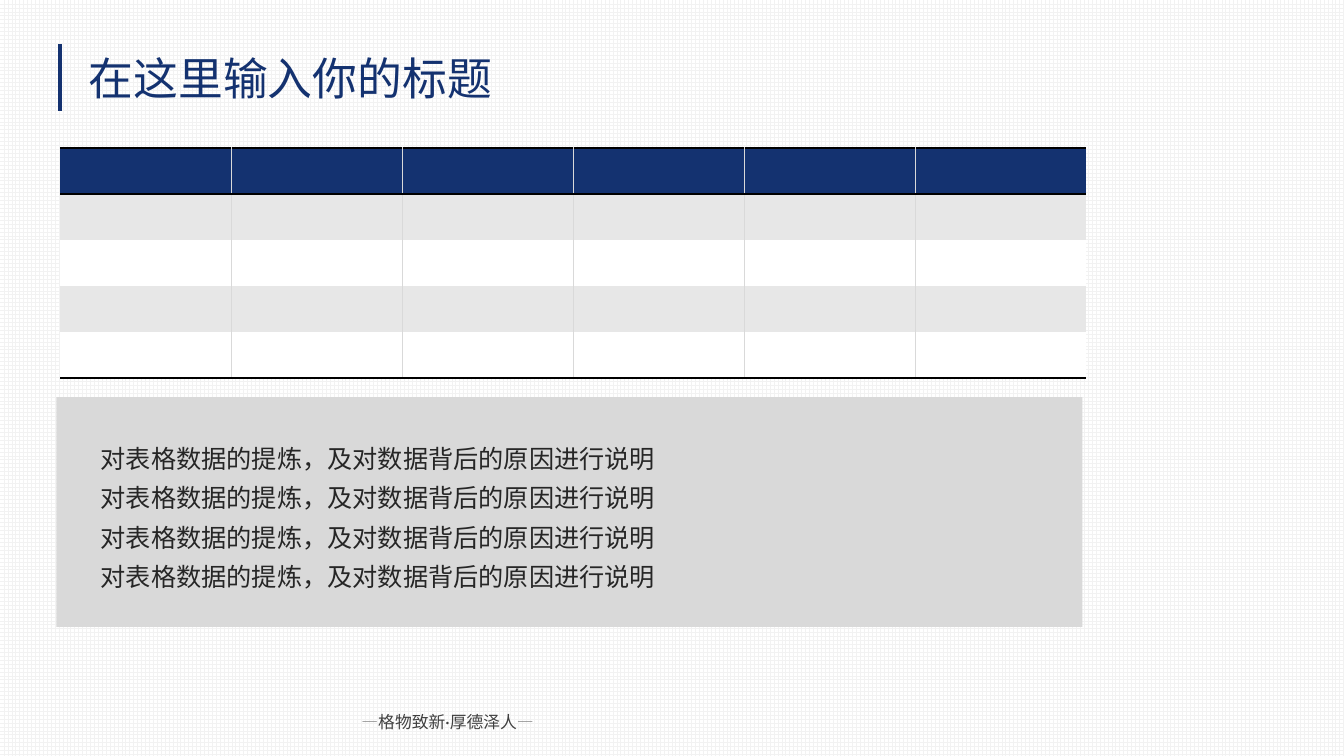
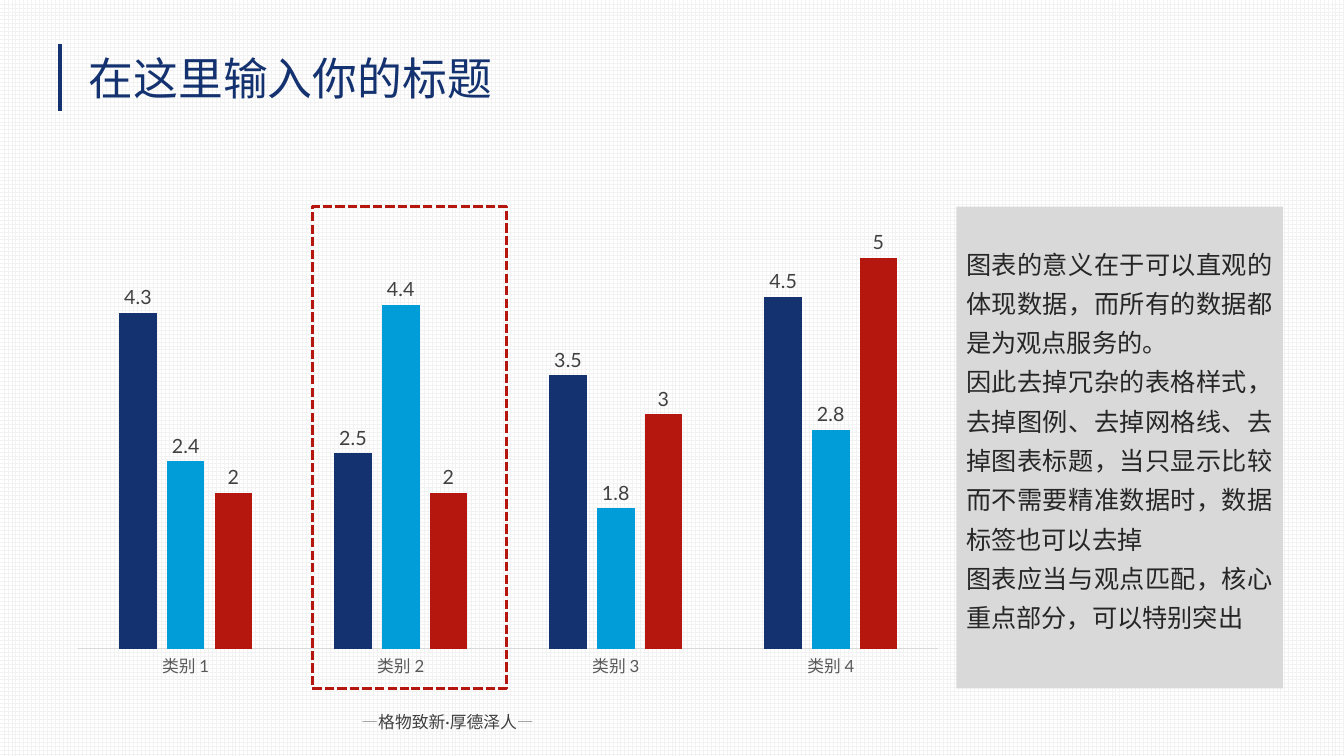
from dataclasses import dataclass

from lxml.etree import SubElement
from pptx import Presentation
from pptx.chart.data import CategoryChartData
from pptx.dml.color import RGBColor
from pptx.enum.chart import XL_CHART_TYPE, XL_LABEL_POSITION, XL_TICK_MARK
from pptx.enum.dml import MSO_LINE, MSO_PATTERN
from pptx.enum.shapes import MSO_CONNECTOR, MSO_SHAPE
from pptx.enum.text import MSO_ANCHOR, MSO_AUTO_SIZE, PP_ALIGN
from pptx.oxml.ns import qn
from pptx.util import Cm, Pt


@dataclass(frozen=True)
class Theme:
    navy: str = "143270"
    blue: str = "009DD9"
    red: str = "B5170F"
    black: str = "000000"
    ink: str = "262626"
    dark: str = "404040"
    axis: str = "595959"
    mid: str = "808080"
    light: str = "D9D9D9"
    band: str = "E7E7E7"
    grid: str = "F2F2F2"
    white: str = "FFFFFF"
    title_font: str = "Cabin"
    body_font: str = "Lato"
    title_size: int = 32
    body_size: int = 18
    label_size: int = 14
    small_size: int = 12
    chart_size: int = 10


T = Theme()

TITLE = "在这里输入你的标题"
FOOTER = [("—", T.mid), ("格物致新·厚德泽人", T.dark), ("—", T.mid)]
TABLE_ROWS = [[""] * 6 for _ in range(5)]
TABLE_NOTES = ["对表格数据的提炼，及对数据背后的原因进行说明"] * 4
CATEGORIES = ["类别 1", "类别 2", "类别 3", "类别 4"]
SERIES = [
    ("Series 1", (4.3, 2.5, 3.5, 4.5), T.navy),
    ("Series 2", (2.4, 4.4, 1.8, 2.8), T.blue),
    ("Series 3", (2, 2, 3, 5), T.red),
]
CHART_NOTES = [
    "图表的意义在于可以直观的体现数据，而所有的数据都是为观点服务的。",
    "因此去掉冗杂的表格样式，去掉图例、去掉网格线、去掉图表标题，"
    "当只显示比较而不需要精准数据时，数据标签也可以去掉",
    "图表应当与观点匹配，核心重点部分，可以特别突出",
]

# Left, top, width, height in centimetres
LEFT = 1.52
TITLE_BOX = (1.98, 1.14, 10.8, 1.63)
FOOTER_BOX = (8.86, 17.81, 16.15, 0.76)
TABLE_BOX = (LEFT, 3.73, 25.86, 5.8)
TABLE_PANEL = (1.42, 10.01, 25.86, 5.79)
TABLE_NOTES_BOX = (2.29, 10.82, 22.68, 4.17)
CHART_BOX = (LEFT, 4.27, 22.58, 13.08)
HIGHLIGHT = (7.87, 5.21, 4.9, 12.14)
CHART_PANEL = (24.1, 5.21, 8.23, 12.14)
CHART_NOTES_BOX = (24.1, 5.92, 8.23, 10.16)


def cm(box):
    return [Cm(v) for v in box]


def rgb(value):
    return RGBColor.from_string(value)


def set_font(font, size, color, name=T.body_font):
    font.name, font.size = name, Pt(size)
    font.color.rgb = rgb(color)


def set_fill(item, color):
    item.fill.solid()
    item.fill.fore_color.rgb = rgb(color)


def add_text_box(s, box):
    tf = s.shapes.add_textbox(*cm(box)).text_frame
    tf.word_wrap = True
    return tf


def add_notes(s, box, notes):
    tf = add_text_box(s, box)
    for i, note in enumerate(notes):
        p = tf.add_paragraph() if i else tf.paragraphs[0]
        p.text = note
        p.alignment, p.line_spacing = PP_ALIGN.JUSTIFY, 1.3
        set_font(p.font, T.body_size, T.ink)


def add_rect(s, box):
    sp = s.shapes.add_shape(MSO_SHAPE.RECTANGLE, *cm(box))
    sp.shadow.inherit = False
    return sp


def add_panel(s, box):
    sp = add_rect(s, box)
    set_fill(sp, T.light)
    sp.line.fill.background()


def add_slide(prs):
    """Add a slide with the shared title, title bar and footer."""
    s = prs.slides.add_slide(prs.slide_layouts[5])
    title = s.shapes.title
    title.left, title.top, title.width, title.height = cm(TITLE_BOX)
    tf = title.text_frame
    tf.text = TITLE
    tf.word_wrap, tf.auto_size = False, MSO_AUTO_SIZE.NONE
    tf.vertical_anchor = MSO_ANCHOR.TOP
    p = tf.paragraphs[0]
    p.alignment = PP_ALIGN.LEFT
    set_font(p.font, T.title_size, T.navy, T.title_font)

    bar = s.shapes.add_connector(
        MSO_CONNECTOR.STRAIGHT, *cm((LEFT, 1.12, LEFT, 2.79)))
    bar.line.color.rgb, bar.line.width = rgb(T.navy), Pt(3)
    SubElement(bar._element.spPr, qn("a:effectLst"))

    p = add_text_box(s, FOOTER_BOX).paragraphs[0]
    p.alignment = PP_ALIGN.JUSTIFY
    for text, color in FOOTER:
        r = p.add_run()
        r.text = text
        set_font(r.font, T.small_size, color)
    return s


def set_borders(cell, borders):
    """Write left, right, top and bottom as (colour, points), or None."""
    tc_pr = cell._tc.get_or_add_tcPr()
    for side, border in zip("LRTB", borders):
        ln = SubElement(tc_pr, qn(f"a:ln{side}"))
        if border is None:
            SubElement(ln, qn("a:noFill"))
            continue
        color, points = border
        ln.set("w", str(Pt(points)))
        SubElement(SubElement(ln, qn("a:solidFill")), qn("a:srgbClr"), val=color)


def add_rule_table(s):
    rows, cols = len(TABLE_ROWS), len(TABLE_ROWS[0])
    table = s.shapes.add_table(rows, cols, *cm(TABLE_BOX)).table
    rule, divider = (T.black, 2), (T.light, 1)
    ruled_edges = (0, 1, rows)
    for i, row in enumerate(TABLE_ROWS):
        fill = T.navy if i == 0 else T.band if i % 2 else T.white
        for j, text in enumerate(row):
            cell = table.cell(i, j)
            cell.text = text
            set_borders(cell, (
                divider if j > 0 else None,
                divider if j < cols - 1 else None,
                rule if i in ruled_edges else None,
                rule if i + 1 in ruled_edges else None,
            ))
            set_fill(cell, fill)


def add_column_chart(s):
    data = CategoryChartData()
    data.categories = CATEGORIES
    for name, values, _ in SERIES:
        data.add_series(name, values)
    chart = s.shapes.add_chart(
        XL_CHART_TYPE.COLUMN_CLUSTERED, *cm(CHART_BOX), data).chart
    chart.has_legend = chart.has_title = False
    set_font(chart.font, T.chart_size, T.black)

    axis = chart.category_axis
    axis.major_tick_mark = axis.minor_tick_mark = XL_TICK_MARK.NONE
    axis.format.line.color.rgb, axis.format.line.width = rgb(T.light), Pt(0.75)
    set_font(axis.tick_labels.font, T.small_size, T.axis)
    values = chart.value_axis
    values.visible = values.has_major_gridlines = False
    values.minimum_scale, values.maximum_scale = 0, 6

    plot = chart.plots[0]
    plot.gap_width, plot.overlap = 219, -27
    plot.vary_by_categories = False
    for series, (_, _, color) in zip(plot.series, SERIES):
        set_fill(series.format, color)
        labels = series.data_labels
        labels.show_value = True
        labels.position = XL_LABEL_POSITION.OUTSIDE_END
        set_font(labels.font, T.label_size, T.dark)


def add_highlight(s):
    sp = add_rect(s, HIGHLIGHT)
    sp.fill.background()
    sp.line.color.rgb, sp.line.width = rgb(T.red), Pt(2.25)
    sp.line.dash_style = MSO_LINE.SQUARE_DOT


def main():
    prs = Presentation()
    prs.slide_width, prs.slide_height = Cm(33.87), Cm(19.05)
    fill = prs.slide_master.background.fill
    fill.patterned()
    fill.pattern = MSO_PATTERN.LARGE_GRID
    fill.fore_color.rgb, fill.back_color.rgb = rgb(T.grid), rgb(T.white)

    s = add_slide(prs)
    add_rule_table(s)
    add_panel(s, TABLE_PANEL)
    add_notes(s, TABLE_NOTES_BOX, TABLE_NOTES)

    s = add_slide(prs)
    add_column_chart(s)
    add_highlight(s)
    add_panel(s, CHART_PANEL)
    add_notes(s, CHART_NOTES_BOX, CHART_NOTES)

    prs.save("out.pptx")


if __name__ == "__main__":
    main()
